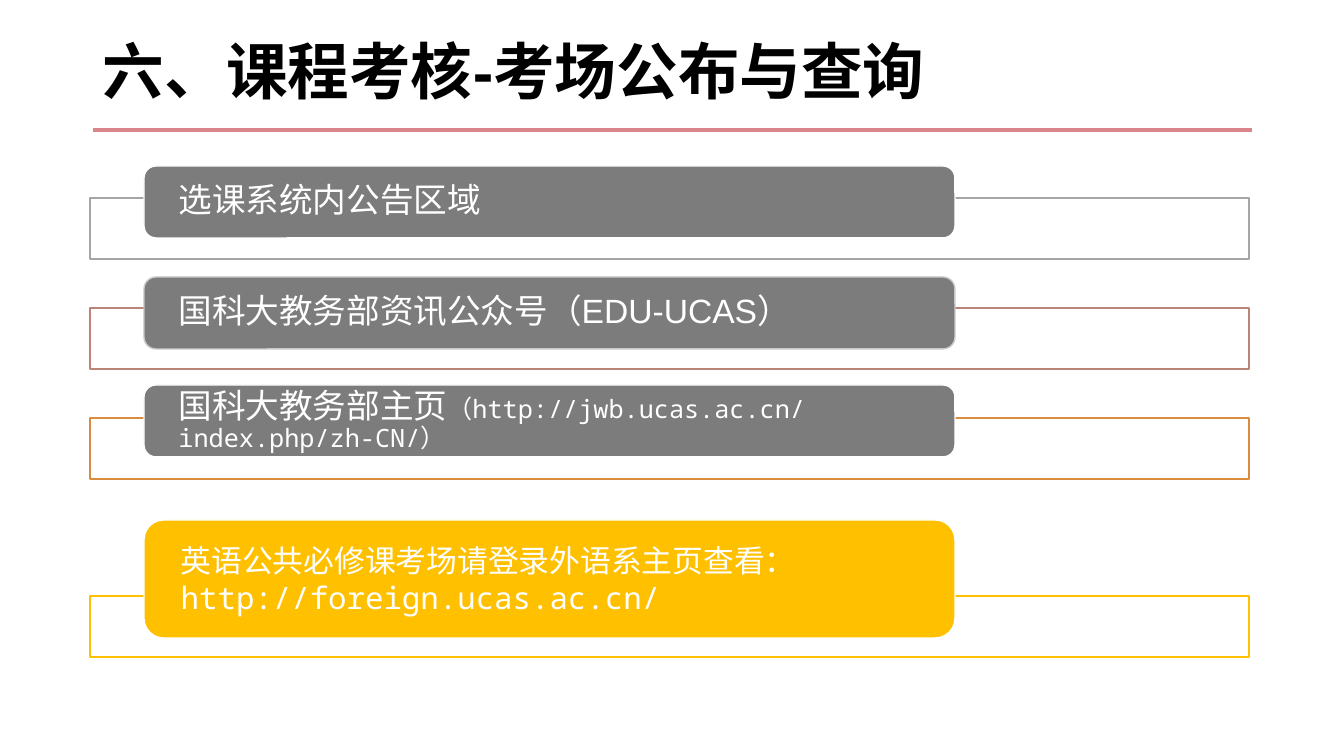
"""Build the slide on where exam rooms are announced and looked up."""
from pptx import Presentation
from pptx import util as u
from pptx.dml.color import RGBColor
from pptx.enum import shapes, text
from pptx.oxml.ns import qn
from lxml import etree

PX = 914400 / 100.8
BLACK = RGBColor(0x00, 0x00, 0x00)
WHITE = RGBColor(0xFF, 0xFF, 0xFF)
ROSE = RGBColor(0xD8, 0x86, 0x8C)
GRAY = RGBColor(0x7C, 0x7C, 0x7C)
SILVER = RGBColor(0xA5, 0xA5, 0xA5)
PALE = RGBColor(0xC9, 0xC9, 0xC9)
BROWN = RGBColor(0xBB, 0x84, 0x76)
ORANGE = RGBColor(0xD9, 0x8C, 0x3F)
GOLD = RGBColor(0xFF, 0xC0, 0x00)
SANS, MONO = "Arial", "Noto Sans Mono"


def px(*lengths):
    return [u.Emu(round(length * PX)) for length in lengths]


def add_box(page, kind, bounds, fill, line):
    box = page.shapes.add_shape(kind, *px(*bounds))
    box.shadow.inherit = False
    box.fill.solid()
    box.fill.fore_color.rgb = fill
    box.line.color.rgb = line
    box.line.width = u.Pt(1)
    return box


deck = Presentation()
deck.slide_width, deck.slide_height = px(1344, 756)
page = deck.slides.add_slide(deck.slide_layouts[6])

rule = page.shapes.add_connector(shapes.MSO_CONNECTOR.STRAIGHT, *px(93, 130, 1252, 130))
rule.line.color.rgb = ROSE
rule.line.width = u.Pt(3)
etree.SubElement(rule._element.spPr, qn("a:effectLst"))

title = page.shapes.add_textbox(*px(93, 19, 1159, 111)).text_frame
title.word_wrap = True
title.vertical_anchor = text.MSO_ANCHOR.MIDDLE
para = title.paragraphs[0]
para.text = "六、课程考核-考场公布与查询"
para.line_spacing = 0.9
para.font.name, para.font.size, para.font.bold = SANS, u.Pt(44), True
para.font.color.rgb = BLACK

channels = [
    (198, SILVER, 166, 72, GRAY, WHITE, 0.9,
     [[("选课系统内公告区域", SANS, 24)]]),
    (308, BROWN, 277, 72, GRAY, PALE, 0.9,
     [[("国科大教务部资讯公众号（EDU-UCAS）", SANS, 24)]]),
    (418, ORANGE, 385, 72, GRAY, WHITE, 0.9,
     [[("国科大教务部主页", SANS, 24),
       ("（http://jwb.ucas.ac.cn/index.php/zh-CN/）", MONO, 18)]]),
    (596, GOLD, 520, 118, GOLD, WHITE, 1.0,
     [[("英语公共必修课考场请登录外语系主页查看：", SANS, 22)],
      [("http://foreign.ucas.ac.cn/", MONO, 22)]]),
]

for frame_top, frame_line, top, height, fill, line, spacing, lines in channels:
    add_box(page, shapes.MSO_SHAPE.RECTANGLE, (90, frame_top, 1159, 61), WHITE, frame_line)
    label = add_box(page, shapes.MSO_SHAPE.ROUNDED_RECTANGLE, (144, top, 811, height), fill, line)
    frame = label.text_frame
    frame.word_wrap = True
    frame.vertical_anchor = text.MSO_ANCHOR.MIDDLE
    frame.margin_left, frame.margin_top, frame.margin_right, frame.margin_bottom = px(31, 0, 31, 0)
    for index, spans in enumerate(lines):
        para = frame.add_paragraph() if index else frame.paragraphs[0]
        para.alignment = text.PP_ALIGN.LEFT
        para.line_spacing = spacing
        for words, font, size in spans:
            span = para.add_run()
            span.text = words
            span.font.name, span.font.size = font, u.Pt(size)
            span.font.color.rgb = WHITE

deck.save("out.pptx")
